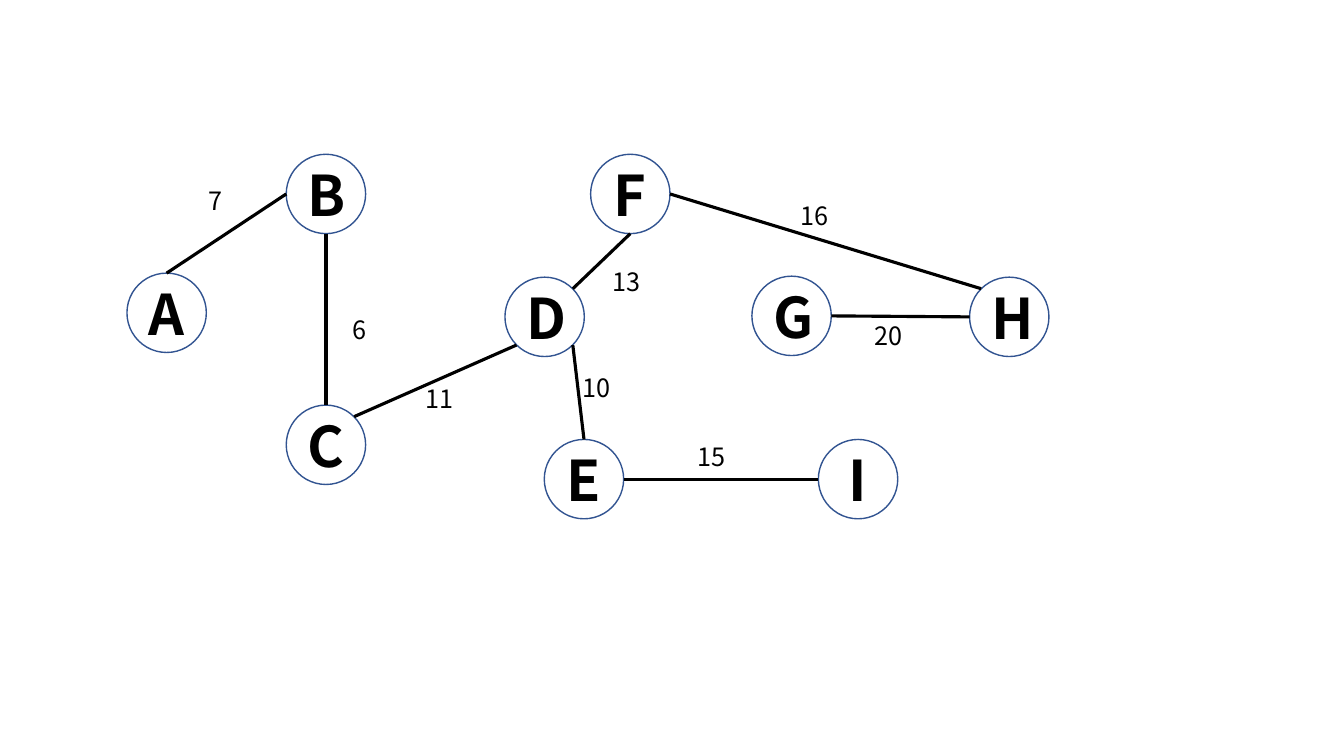
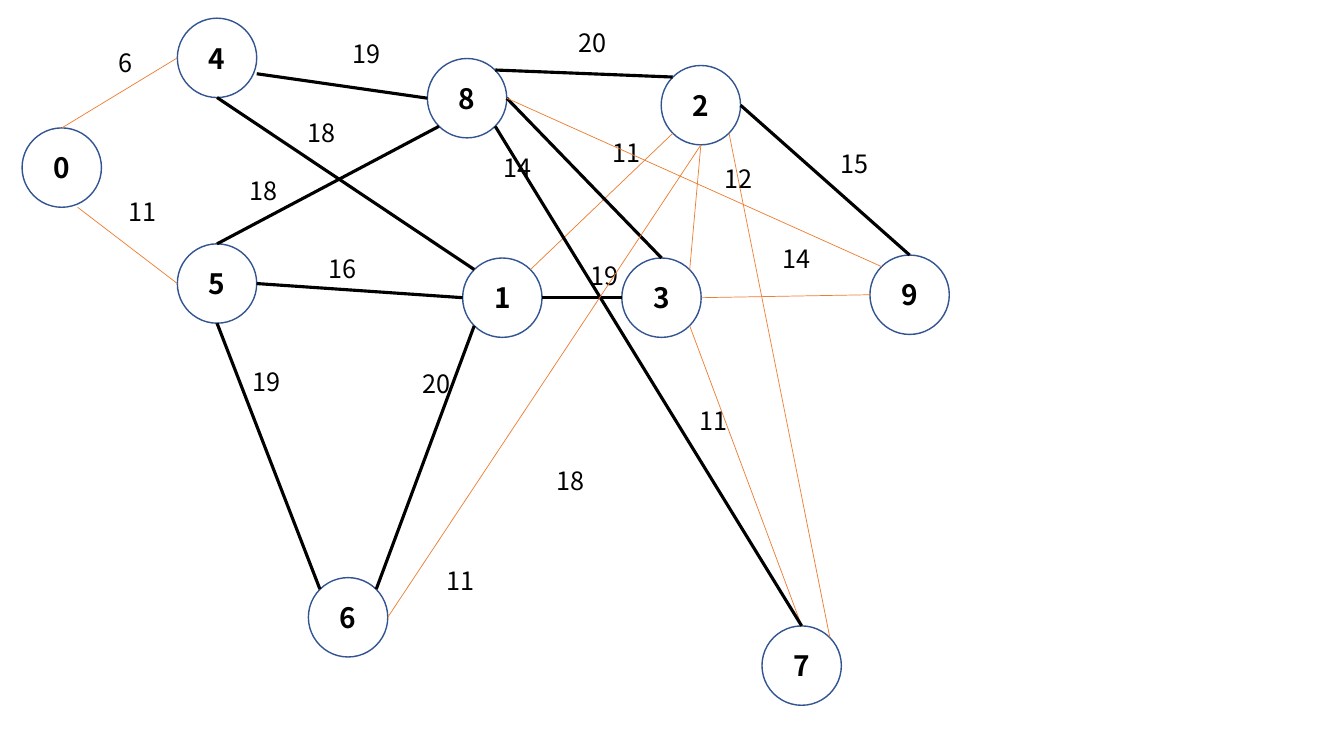
from lxml import etree
from pptx import Presentation
from pptx.dml.color import RGBColor
from pptx.enum import shapes, text
from pptx.oxml.ns import qn
from pptx.util import Pt

COLORS = {"ink": "000000", "ring": "325491", "thin": "ED7D31"}
FONT = "Noto Sans CJK SC"
DIAG = 0.71

# Where a line meets a circle, in radii from its centre
SITES = {
    "N": (0, -1), "S": (0, 1), "W": (-1, 0), "E": (1, 0),
    "NW": (-DIAG, -DIAG), "NE": (DIAG, -DIAG),
    "SW": (-DIAG, DIAG), "SE": (DIAG, DIAG),
    "ESE": (1, 0.4), "SSE": (0.4, 1),
}


class Graph:
    """Draws one weighted graph per slide."""

    size = 56.7  # circle diameter
    weights = {"ink": 2.25, "thin": 0.5}

    def __init__(self, deck):
        self.deck = deck

    def start(self, letter):
        self.slide = self.deck.slides.add_slide(self.deck.slide_layouts[6])
        self.letter = letter
        self.nodes = {}

    def add_run(self, frame, words, size, bold=False):
        run = frame.paragraphs[0].add_run()
        run.text = words
        font = run.font
        font.name, font.size, font.bold = FONT, Pt(size), bold
        font.color.rgb = RGBColor.from_string(COLORS["ink"])

    def node(self, name, left, top):
        ring = self.slide.shapes.add_shape(
            shapes.MSO_SHAPE.OVAL, Pt(left), Pt(top), Pt(self.size), Pt(self.size))
        ring.shadow.inherit = False
        ring.fill.background()
        ring.line.color.rgb = RGBColor.from_string(COLORS["ring"])
        ring.line.width = Pt(1)
        frame = ring.text_frame
        frame.vertical_anchor = text.MSO_ANCHOR.MIDDLE
        frame.paragraphs[0].alignment = text.PP_ALIGN.CENTER
        self.add_run(frame, name, self.letter, True)
        self.nodes[name] = left, top

    def spot(self, name, site):
        half = self.size / 2
        return [Pt(edge + half * (1 + step))
                for edge, step in zip(self.nodes[name], SITES[site])]

    def edge(self, first, out, last, into, color):
        line = self.slide.shapes.add_connector(
            shapes.MSO_CONNECTOR.STRAIGHT,
            *self.spot(first, out), *self.spot(last, into))
        line.line.color.rgb = RGBColor.from_string(COLORS[color])
        line.line.width = Pt(self.weights[color])
        etree.SubElement(line._element.spPr, qn("a:effectLst"))

    def label(self, words, left, top):
        width = 12.2 + 14.4 * len(words)
        box = self.slide.shapes.add_textbox(Pt(left), Pt(top), Pt(width), Pt(28.8))
        frame = box.text_frame
        frame.word_wrap = True
        frame.auto_size = text.MSO_AUTO_SIZE.SHAPE_TO_FIT_TEXT
        self.add_run(frame, words, 18)

    def draw(self, letter, nodes, edges):
        self.start(letter)
        for name, spot in nodes.items():
            self.node(name, *spot)
        for first, out, last, into, color, *label in edges:
            self.edge(first, out, last, into, color)
            if label:
                self.label(*label)


deck = Presentation()
deck.slide_width, deck.slide_height = Pt(960), Pt(540)
graph = Graph(deck)

# Slide 1: spanning tree; each edge ends with its weight and label place
tree = {
    "A": (90.7, 195.1), "B": (204.5, 110.2), "C": (204.5, 289.4),
    "D": (360.7, 198), "E": (388.8, 313.9), "F": (421.9, 110.2),
    "G": (537.1, 197.3), "H": (692.6, 198), "I": (584.6, 313.9),
}
graph.draw(40, tree, [
    ("B", "S", "C", "N", "ink", "6", 244.8, 221),
    ("B", "W", "A", "N", "ink", "7", 141.8, 128.9),
    ("D", "SE", "E", "N", "ink", "10", 409, 262.1),
    ("D", "SW", "C", "NE", "ink", "11", 296.6, 270),
    ("D", "NE", "F", "S", "ink", "13", 430.6, 186.5),
    ("E", "E", "I", "W", "ink", "15", 491, 311.8),
    ("F", "E", "H", "NW", "ink", "16", 564.5, 139.7),
    ("G", "E", "H", "W", "ink", "20", 617.8, 225.4),
])

# Slide 2: full graph, heavy edges in black
net = {
    "0": (15.8, 91.4), "1": (330.5, 184.3), "2": (472.3, 46.8),
    "3": (444.2, 184.3), "4": (126.7, 13), "5": (126.7, 174.2),
    "6": (220.3, 412.6), "7": (544.3, 447.1), "8": (305.3, 41.8),
    "9": (621.4, 182.2),
}
graph.draw(20, net, [
    ("4", "W", "0", "N", "thin", "6", 77.8, 30.2),
    ("9", "W", "3", "E", "thin", "14", 552.2, 170.6),
    ("3", "SE", "7", "N", "thin", "11", 492.5, 285.8),
    ("5", "W", "0", "SSE", "thin", "11", 85, 136.8),
    ("8", "W", "4", "ESE", "ink", "19", 244.8, 23.8),
    ("1", "NW", "4", "S", "ink", "18", 212.4, 80.6),
    ("5", "N", "8", "SW", "ink", "18", 171.4, 121.7),
    ("5", "E", "1", "W", "ink", "16", 227.5, 177.1),
    ("5", "S", "6", "NW", "ink", "19", 173.5, 257.8),
    ("1", "E", "3", "W", "ink", "19", 414.7, 182.2),
    ("1", "NE", "2", "SW", "thin", "11", 430.6, 94.3),
    ("6", "NE", "1", "SW", "ink", "20", 294.5, 259.9),
    ("3", "NE", "2", "S", "thin", "12", 510.5, 113),
    ("8", "E", "3", "N", "ink", "14", 352.8, 105.1),
    ("8", "NE", "2", "NW", "ink", "20", 406.1, 15.8),
    ("2", "E", "9", "N", "ink", "15", 593.3, 102.2),
    ("8", "SE", "7", "N", "ink", "18", 390.2, 329),
    ("6", "E", "2", "S", "thin", "11", 311.8, 400.3),
    ("8", "E", "9", "NW", "thin"),
    ("2", "SE", "7", "NE", "thin"),
])

deck.save("out.pptx")
